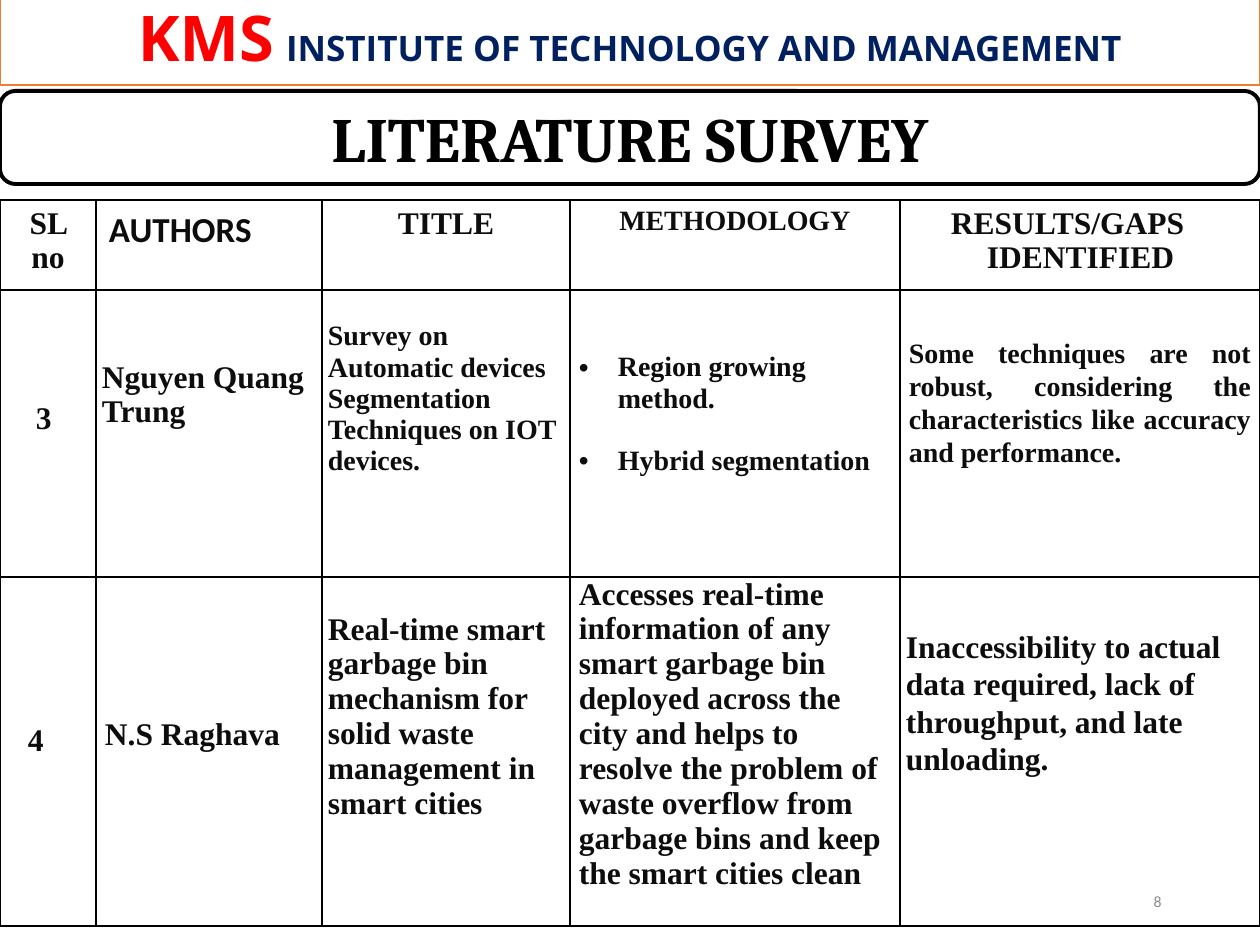
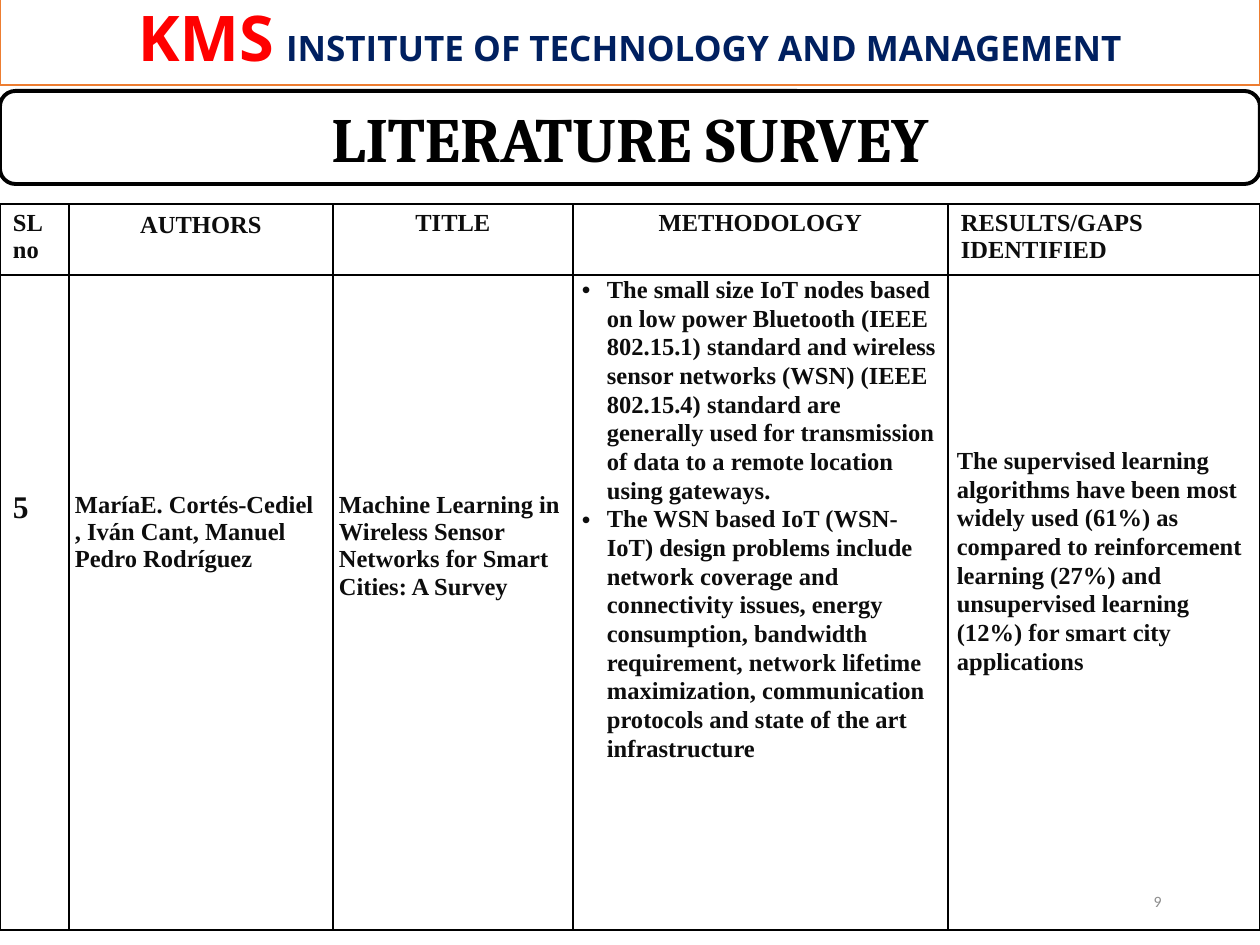
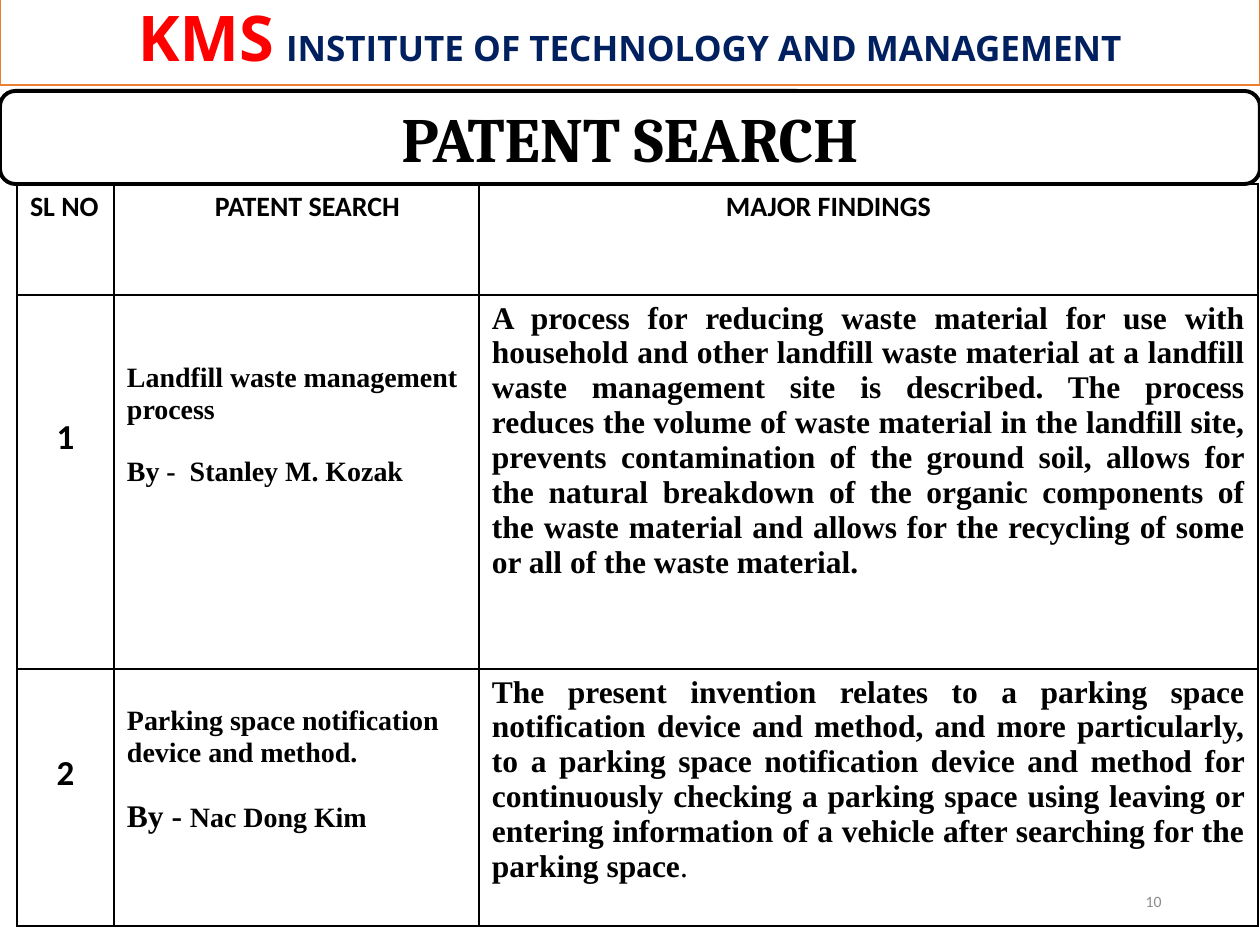
from dataclasses import dataclass

from lxml import etree
from pptx import Presentation, util as u
from pptx.dml.color import RGBColor
from pptx.enum import shapes, text
from pptx.oxml.ns import qn

SCALE = 914400 / 126
COLOURS = {
    "white": "FFFFFF", "black": "000000", "ink": "0D0D0D", "red": "FF0000",
    "navy": "002060", "orange": "ED7D31", "grey": "8C8C8C",
}
SERIF, SANS = "Times New Roman", "Calibri"
ALIGN = text.PP_ALIGN


def px(length):
    return u.Emu(round(length * SCALE))


def rgb(name):
    return RGBColor.from_string(COLOURS[name])


@dataclass
class Cell:
    """Text and format of a table cell; lengths in px, sizes in points."""
    paragraphs: list
    size: int = 18
    font: str = SERIF
    align: ALIGN = ALIGN.LEFT
    top: int = 6
    left: int = 13
    right: int = 13
    spacing: float = 1.0
    gap: int = 0
    hang: tuple = ()
    bullet: bool = False
    colour: str = "ink"


def add_run(paragraph, words, **formats):
    run = paragraph.add_run()
    run.text = words
    run.font.color.rgb = rgb(formats.pop("colour"))
    formats["size"] = u.Pt(formats["size"])
    for name, value in formats.items():
        setattr(run.font, name, value)


def set_frame(frame, **formats):
    for name, value in formats.items():
        setattr(frame, name, value)


def add_box(slide, preset, box, line, width):
    shape = slide.shapes.add_shape(preset, *map(px, box))
    shape.shadow.inherit = False
    shape.line.color.rgb = rgb(line)
    shape.line.width = u.Pt(width)
    return shape


def add_institute_band(slide, box):
    band = add_box(slide, shapes.MSO_SHAPE.RECTANGLE, box, "orange", 1)
    band.fill.solid()
    band.fill.fore_color.rgb = rgb("white")
    set_frame(band.text_frame, margin_top=px(3), margin_bottom=0,
              vertical_anchor=text.MSO_ANCHOR.TOP, word_wrap=True)
    name = band.text_frame.paragraphs[0]
    name.alignment = ALIGN.CENTER
    for words, size, colour in (
        ("KMS", 36, "red"), (" ", 27, "red"),
        ("INSTITUTE OF TECHNOLOGY AND MANAGEMENT", 20, "navy"),
    ):
        add_run(name, words, size=size, name="Open Sans", bold=True, colour=colour)


def add_title(slide, box, words):
    frame = add_box(slide, shapes.MSO_SHAPE.ROUNDED_RECTANGLE, box, "black", 2.25)
    frame.fill.background()
    set_frame(frame.text_frame, vertical_anchor=text.MSO_ANCHOR.MIDDLE, word_wrap=True)
    title = frame.text_frame.paragraphs[0]
    title.alignment = ALIGN.CENTER
    add_run(title, words, size=36, name="Cambria", bold=True, colour="black")


def add_page_number(slide, box, number):
    frame = slide.shapes.add_textbox(*map(px, box)).text_frame
    set_frame(frame, vertical_anchor=text.MSO_ANCHOR.MIDDLE, word_wrap=True)
    page = frame.paragraphs[0]
    page.alignment = ALIGN.RIGHT
    add_run(page, str(number), size=9, name=SANS, colour="grey")


def set_borders(cell):
    properties = cell._tc.get_or_add_tcPr()
    for position, side in enumerate(("lnL", "lnR", "lnT", "lnB")):
        line = etree.Element(qn(f"a:{side}"), w=str(u.Pt(1)))
        fill = etree.SubElement(line, qn("a:solidFill"))
        etree.SubElement(fill, qn("a:srgbClr"), val=COLOURS["black"])
        properties.insert(position, line)


def set_indent(paragraph, left, first, bullet):
    properties = paragraph._p.get_or_add_pPr()
    properties.set("marL", str(px(left)))
    properties.set("indent", str(px(first)))
    if bullet:
        etree.SubElement(properties, qn("a:buFont"), typeface="Arial")
        etree.SubElement(properties, qn("a:buChar"), char="•")


def fill_cell(cell, content):
    cell.fill.background()
    set_borders(cell)
    set_frame(cell, margin_left=px(content.left), margin_right=px(content.right),
              margin_top=px(content.top), margin_bottom=0)
    frame = cell.text_frame
    for index, runs in enumerate(content.paragraphs):
        paragraph = frame.add_paragraph() if index else frame.paragraphs[0]
        paragraph.alignment = content.align
        paragraph.line_spacing = content.spacing
        if index:
            paragraph.space_before = px(content.gap)
        if content.hang:
            set_indent(paragraph, *content.hang, content.bullet)
        if isinstance(runs, str):
            runs = [(runs, {})]
        for words, changes in runs:
            formats = {"size": content.size, "name": content.font, "bold": True,
                       "colour": content.colour}
            add_run(paragraph, words, **{**formats, **changes})


def add_grid(slide, left, top, widths, heights, rows):
    box = (left, top, sum(widths), sum(heights))
    table = slide.shapes.add_table(len(rows), len(widths), *map(px, box)).table
    set_frame(table, first_row=False, horz_banding=False)
    for column, width in zip(table.columns, widths):
        column.width = px(width)
    for row, height, contents in zip(table.rows, heights, rows):
        row.height = px(height)
        for cell, content in zip(row.cells, contents):
            fill_cell(cell, content)


def add_page(prs, title, number, **grid):
    slide = prs.slides.add_slide(prs.slide_layouts[6])
    add_institute_band(slide, (0, -4, 1260, 89))
    add_title(slide, (0, 91, 1260, 93), title)
    add_grid(slide, **grid)
    add_page_number(slide, (890, 876, 284, 50), number)


def tight(paragraphs, top=0, side=6, **formats):
    """A cell with narrow margins."""
    return Cell(paragraphs, top=top, left=side, right=side, **formats)


def black(paragraphs, **formats):
    return Cell(paragraphs, colour="black", **formats)


SURVEY_DEVICES = [
    [
        Cell(["SL no"], align=ALIGN.CENTER),
        Cell(["AUTHORS"], size=20, font=SANS, spacing=1.07),
        Cell(["TITLE"], align=ALIGN.CENTER),
        Cell(["METHODOLOGY"], size=16, align=ALIGN.CENTER),
        Cell(["RESULTS/GAPS IDENTIFIED"], hang=(74, -36)),
    ],
    [
        Cell(["3"], top=111, left=36),
        tight(["Nguyen Quang Trung"], top=70),
        tight(["Survey on Automatic devices Segmentation Techniques on IOT devices."],
              top=31, size=16),
        tight(["Region growing method.", "Hybrid segmentation"], top=62, side=9,
              size=16, gap=31, hang=(39, -39), bullet=True),
        tight(["Some techniques are not robust, considering the characteristics like "
               "accuracy and performance."],
              top=47, side=9, size=16, spacing=1.06, align=ALIGN.JUSTIFY),
    ],
    [
        Cell(["4"], top=146, left=28),
        tight(["N.S Raghava"], top=140, side=9),
        tight(["Real-time smart garbage bin mechanism for solid waste management in "
               "smart cities"], top=35),
        tight(["Accesses real-time information of any smart garbage bin deployed across "
               "the city and helps to resolve the problem of waste overflow from garbage "
               "bins and keep the smart cities clean"], side=9),
        tight(["Inaccessibility to actual data required, lack of throughput, and late "
               "unloading."], top=51, spacing=1.07),
    ],
]

SURVEY_LEARNING = [
    [
        Cell(["SL no"], size=14),
        Cell(["AUTHORS"], size=14, align=ALIGN.CENTER, spacing=1.07),
        Cell(["TITLE"], size=14, align=ALIGN.CENTER),
        Cell(["METHODOLOGY"], size=14, align=ALIGN.CENTER),
        Cell(["RESULTS/GAPS IDENTIFIED"], size=14),
    ],
    [
        Cell(["5"], top=215),
        tight(["MaríaE. Cortés-Cediel", ", Iván Cant, Manuel Pedro Rodríguez"],
              top=217, size=14),
        tight(["Machine Learning in Wireless Sensor Networks for Smart Cities: A Survey"],
              top=217, size=14),
        tight(["The small size IoT nodes based on low power Bluetooth (IEEE 802.15.1) "
               "standard and wireless sensor networks (WSN) (IEEE 802.15.4) standard are "
               "generally used for transmission of data to a remote location using "
               "gateways.",
               "The WSN based IoT (WSN-IoT) design problems include network coverage and "
               "connectivity issues, energy consumption, bandwidth requirement, network "
               "lifetime maximization, communication protocols and state of the art "
               "infrastructure"],
              side=9, size=14, spacing=1.06, hang=(25, -25), bullet=True),
        tight(["The supervised learning algorithms have been most widely used (61%) as "
               "compared to reinforcement learning (27%) and unsupervised learning (12%) "
               "for smart city applications"],
              top=171, side=9, size=14, spacing=1.06),
    ],
]

PATENTS = [
    [
        black(["SL NO"], size=16, font=SANS),
        black(["PATENT SEARCH"], size=16, font=SANS, left=101),
        black(["MAJOR FINDINGS"], size=16, font=SANS, left=247),
    ],
    [
        black(["1"], size=20, font=SANS, align=ALIGN.CENTER, top=121),
        black(["Landfill waste management process", "By -  Stanley M. Kozak"],
              size=16, top=68, gap=31),
        black(["A process for reducing waste material for use with household and other "
               "landfill waste material at a landfill waste management site is described. "
               "The process reduces the volume of waste material in the landfill site, "
               "prevents contamination of the ground soil, allows for the natural "
               "breakdown of the organic components of the waste material and allows for "
               "the recycling of some or all of the waste material."],
              align=ALIGN.JUSTIFY),
    ],
    [
        black(["2"], size=20, font=SANS, align=ALIGN.CENTER, top=83),
        black(["Parking space notification device and method.",
               [("By - ", {"size": 18}), ("Nac Dong Kim", {})]],
              size=16, top=37, gap=31),
        black([[("The present invention relates to a parking space notification device "
                 "and method, and more particularly, to a parking space notification "
                 "device and method for continuously checking a parking space using "
                 "leaving or entering information of a vehicle after searching for the "
                 "parking space", {}), (".", {"bold": False})]],
              align=ALIGN.JUSTIFY),
    ],
]


def main():
    prs = Presentation()
    prs.slide_width, prs.slide_height = px(1260), px(945)
    add_page(prs, "LITERATURE SURVEY", 8, left=0, top=200,
             widths=(96, 226, 248, 330, 360), heights=(90, 287, 349),
             rows=SURVEY_DEVICES)
    add_page(prs, "LITERATURE SURVEY", 9, left=0, top=204,
             widths=(69, 264, 240, 375, 312), heights=(71, 655),
             rows=SURVEY_LEARNING)
    add_page(prs, "PATENT SEARCH", 10, left=17, top=184,
             widths=(97, 365, 779), heights=(111, 374, 257), rows=PATENTS)
    prs.save("out.pptx")


if __name__ == "__main__":
    main()
